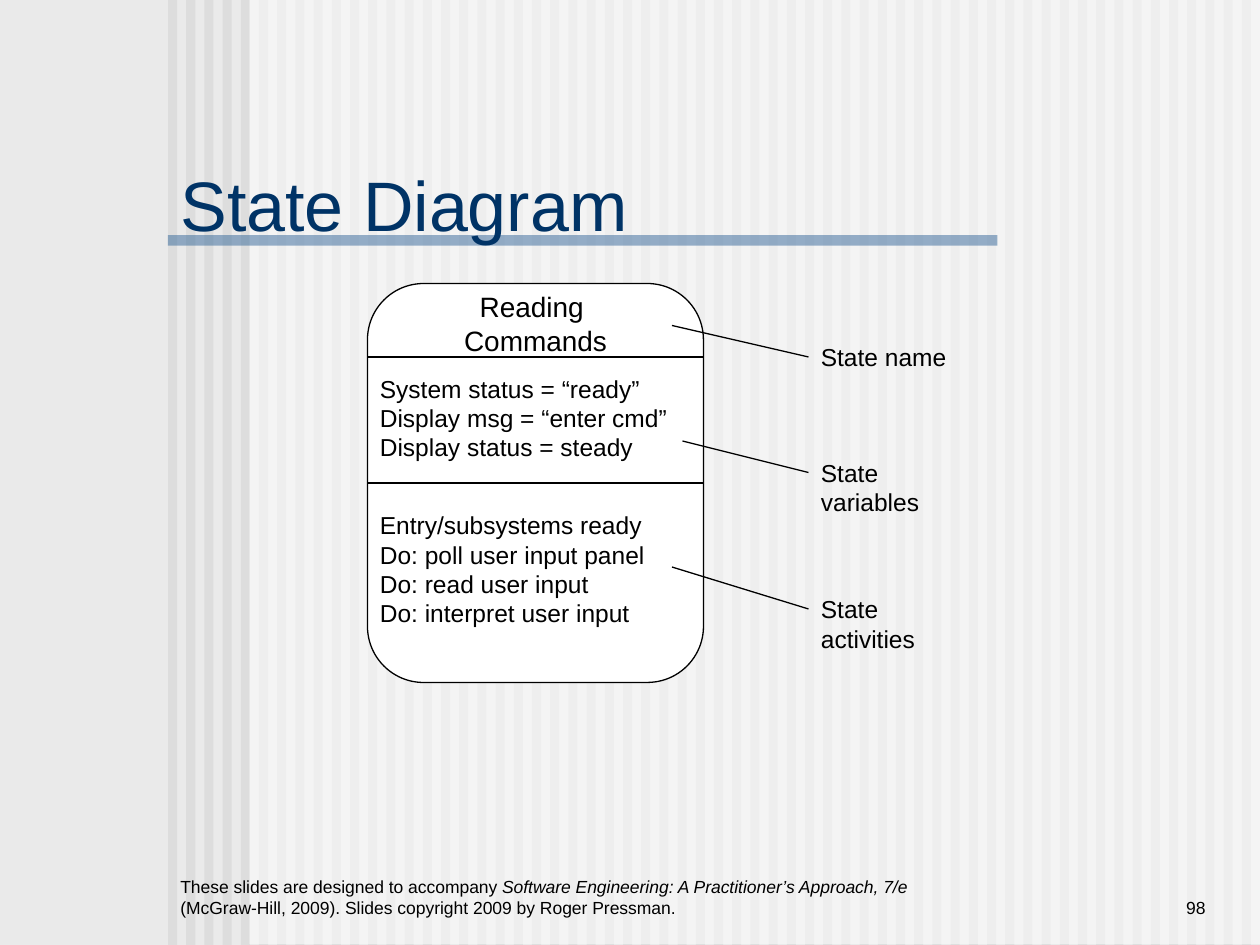
from lxml import etree
from pptx import Presentation
from pptx.dml.color import RGBColor
from pptx.enum.shapes import MSO_CONNECTOR as Line, MSO_SHAPE as Shape
from pptx.enum.text import MSO_ANCHOR as Anchor, MSO_AUTO_SIZE as AutoSize, PP_ALIGN as Align
from pptx.oxml.ns import qn
from pptx.util import Pt

WIDTH, HEIGHT = 720, 540
LEFT_EDGE = 96
STRIPE_COUNT, STRIPE_PITCH = 60, 10.4


def color(hex_code):
    return RGBColor.from_string(hex_code)


class SlideBuilder:
    """Holds the style and the slide being drawn; lengths are in points."""

    font_name = "Arial"
    ink = "000000"
    line_width = 0.75

    def __init__(self, slide, background):
        self.slide = slide
        fill = slide.background.fill
        fill.solid()
        fill.fore_color.rgb = color(background)

    def block(self, left, top, width, height, fill, opacity=100, corner=None):
        """Draw a plain rectangle, or an outlined rounded one if corner is given."""
        kind = Shape.RECTANGLE if corner is None else Shape.ROUNDED_RECTANGLE
        shape = self.slide.shapes.add_shape(kind, Pt(left), Pt(top), Pt(width), Pt(height))
        shape.shadow.inherit = False
        shape.fill.solid()
        shape.fill.fore_color.rgb = color(fill)
        if opacity < 100:
            tint = shape._element.spPr.find(qn("a:solidFill"))[0]
            etree.SubElement(tint, qn("a:alpha"), val=str(opacity * 1000))
        if corner is None:
            shape.line.fill.background()
        else:
            shape.adjustments[0] = corner
            shape.line.color.rgb = color(self.ink)
            shape.line.width = Pt(self.line_width)
        return shape

    def line(self, start, end):
        connector = self.slide.shapes.add_connector(Line.STRAIGHT, *map(Pt, start + end))
        connector.line.color.rgb = color(self.ink)
        connector.line.width = Pt(self.line_width)
        etree.SubElement(connector._element.spPr, qn("a:effectLst"))
        return connector

    def text(self, left, top, width, height, paragraphs, size, ink=None,
             align=Align.LEFT, anchor=Anchor.TOP, wrap=True):
        """Add a text box; a paragraph is a string or a list of (string, italic) runs."""
        box = self.slide.shapes.add_textbox(Pt(left), Pt(top), Pt(width), Pt(height))
        frame = box.text_frame
        frame.word_wrap = wrap
        frame.auto_size = AutoSize.NONE if wrap else AutoSize.SHAPE_TO_FIT_TEXT
        frame.vertical_anchor = anchor
        for index, content in enumerate(paragraphs):
            paragraph = frame.add_paragraph() if index else frame.paragraphs[0]
            paragraph.alignment = align
            paragraph.font.name = self.font_name
            paragraph.font.size = Pt(size)
            paragraph.font.color.rgb = color(ink or self.ink)
            if isinstance(content, str):
                content = [(content, False)]
            for words, italic in content:
                run = paragraph.add_run()
                run.text = words
                if italic:
                    run.font.italic = True
        return box


def draw_backdrop(page):
    for index in range(STRIPE_COUNT):
        page.block(LEFT_EDGE + index * STRIPE_PITCH, 0, STRIPE_PITCH / 2, HEIGHT, "DDDDDD")
    page.block(142.5, -0.5, WIDTH - 142.5, HEIGHT, "FFFFFF", opacity=50)
    page.block(LEFT_EDGE, 134.4, 474, 6, "336699", opacity=50)


def draw_footer(page):
    credit = [
        ("These slides are designed to accompany ", False),
        ("Software Engineering: A Practitioner’s Approach, 7/e ", True),
        ("(McGraw-Hill, 2009). Slides copyright 2009 by Roger Pressman.", False),
    ]
    page.text(LEFT_EDGE, 492, 432, 36, [credit], 10, anchor=Anchor.BOTTOM)
    page.text(594, 492, 102, 36, ["98"], 10, align=Align.RIGHT, anchor=Anchor.BOTTOM)


def draw_state(page):
    left, top, width, height = 210, 162, 192, 228
    right, middle = left + width, top + height / 2
    state = page.block(left, top, width, height, "FFFFFF", corner=0.167)
    page.line((left, 204), (right, 204))
    divider = page.line((left, middle), (right, middle))
    divider.begin_connect(state, 1)
    divider.end_connect(state, 3)

    page.text(258, top, 96, 46, ["Reading ", "Commands"], 16, align=Align.CENTER)
    variables = ["System status = “ready”", "Display msg = “enter cmd”", "Display status = steady"]
    page.text(left, 210, 186, 58, variables, 14)
    activities = ["Entry/subsystems ready", "Do: poll user input panel",
                  "Do: read user input", "Do: interpret user input"]
    page.text(left, 288, 186, 90, activities, 14)


def draw_callouts(page):
    label_left, label_height = 462, 24
    callouts = [
        ("State name", 192, 86, (384, 186)),
        ("State variables", 258, 107, (390, 252)),
        ("State activities", 336, 104, (384, 324)),
    ]
    for words, top, width, target in callouts:
        label = page.text(label_left, top, width, label_height, [words], 14, wrap=False)
        pointer = page.line((label_left, top + label_height / 2), target)
        pointer.begin_connect(label, 1)


def main():
    deck = Presentation()
    deck.slide_width, deck.slide_height = Pt(WIDTH), Pt(HEIGHT)
    page = SlideBuilder(deck.slides.add_slide(deck.slide_layouts[6]), "EAEAEA")
    draw_backdrop(page)
    draw_footer(page)
    page.text(LEFT_EDGE, 90, 342, 54, ["State Diagram"], 40, ink="003366", anchor=Anchor.BOTTOM)
    draw_state(page)
    draw_callouts(page)
    deck.save("out.pptx")


if __name__ == "__main__":
    main()
